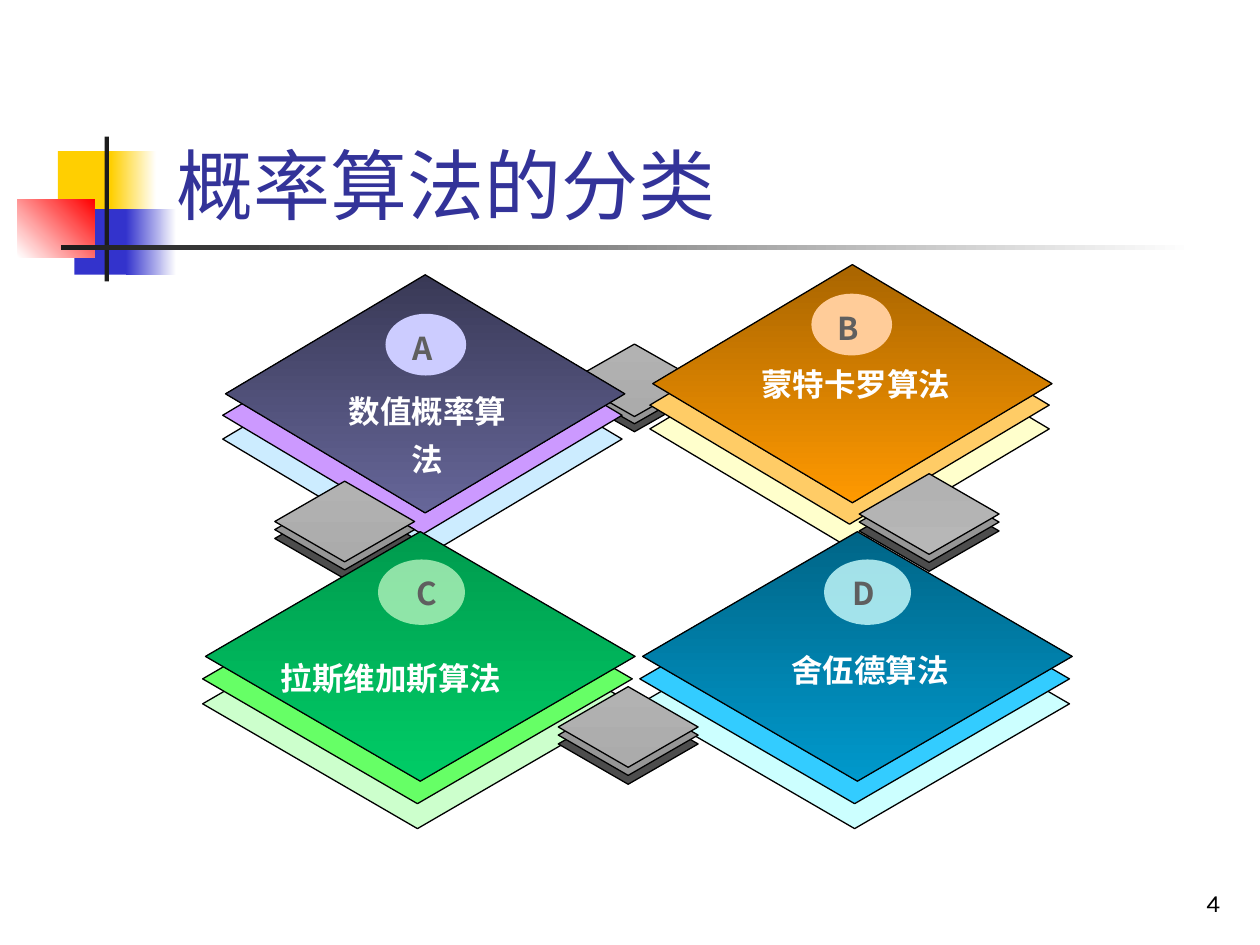
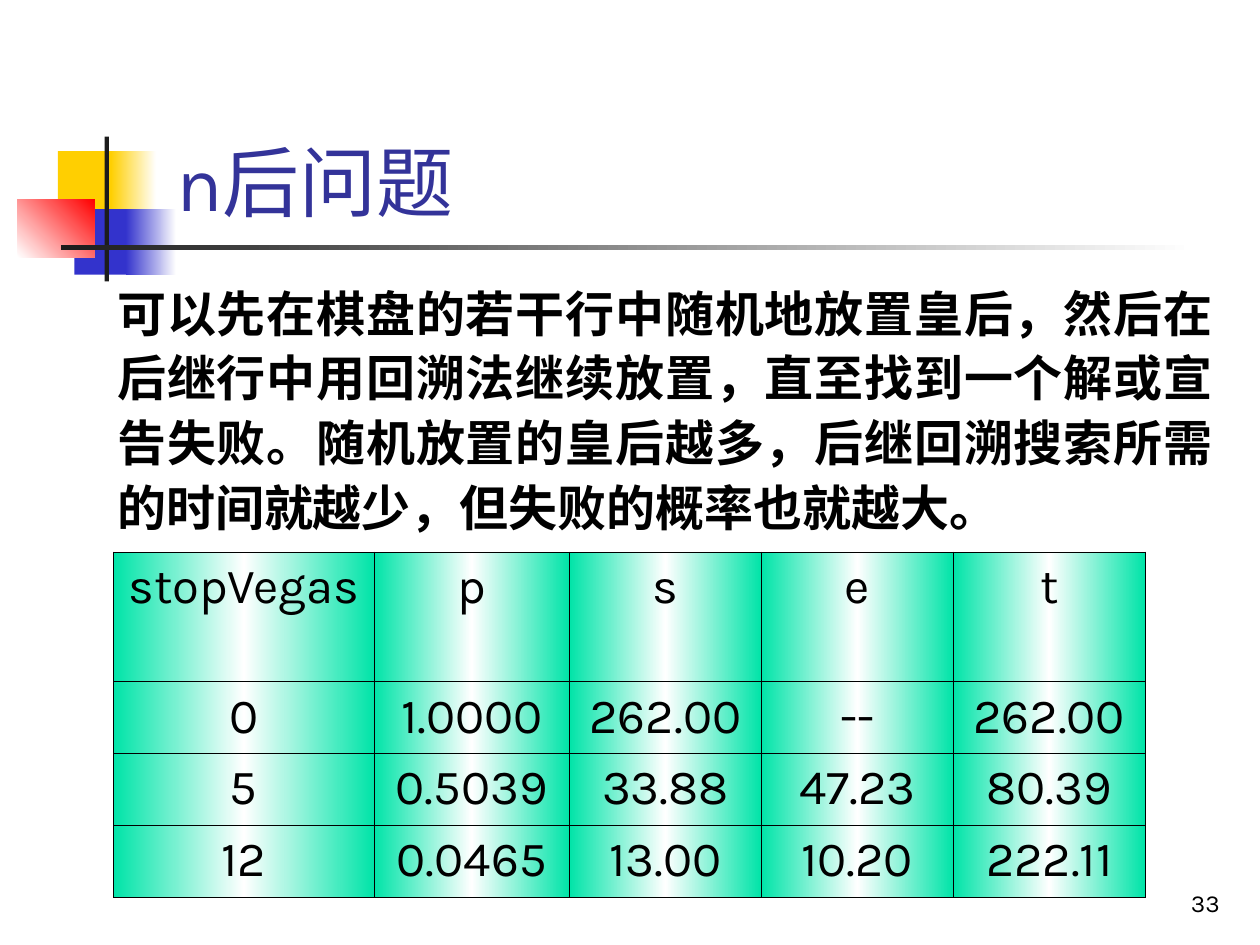
import copy
from dataclasses import dataclass
from typing import Any, NamedTuple

import lxml.etree
import pptx
import pptx.dml.color
import pptx.enum.shapes
import pptx.enum.text
import pptx.oxml.ns
import pptx.util


@dataclass(frozen=True)
class Theme:
    ink: str = "000000"
    white: str = "FFFFFF"
    title: str = "333399"
    badge: str = "5F5F5F"
    dark: str = "1C1C1C"
    gold: str = "FFCF01"
    blue: str = "3333CC"
    red: str = "FF0000"
    mint: str = "00E4A8"
    head: float = 44
    big: float = 28
    label: float = 18
    page: float = 14
    edge: float = 0.75
    rule: float = 0.45
    sans: str = "Karla"
    serif: str = "Times New Roman"
    han: str = "Noto Sans CJK SC"


class Box(NamedTuple):
    x: float
    y: float
    w: float
    h: float


class Band(NamedTuple):
    box: Box
    hues: tuple[str, ...]
    turn: float = 0


class Tile(NamedTuple):
    front: Box
    hues: tuple[str, str]
    shade: tuple[str, str]
    drops: tuple[float, float]
    shift: float


class Label(NamedTuple):
    text: str
    box: Box
    wrap: bool
    form: dict[str, Any]
    left: float = 0
    hang: float = 0


class Badge(NamedTuple):
    text: str
    box: Box
    hue: str
    mid: float
    alpha: int = 100


T = Theme()
KIND = pptx.enum.shapes.MSO_SHAPE
ALIGN = pptx.enum.text.PP_ALIGN
HOLD = pptx.enum.text.MSO_ANCHOR
DOWN = 270

BANDS = (
    Band(Box(33.1, 86.4, 34.6, 37.4), (T.gold,)),
    Band(Box(63.4, 86.4, 25.9, 37.4), (T.gold, T.white)),
    Band(Box(42.5, 119.5, 33.1, 37.4), (T.blue,)),
    Band(Box(72, 119.5, 28.8, 37.4), (T.blue, T.white)),
    Band(Box(10.1, 113.8, 43.9, 33.1), (T.white, T.red), 45),
    Band(Box(59.8, 78, 2.4, 82.8), (T.dark,)),
    Band(Box(34.6, 140.2, 648, 2.4), (T.dark, T.white)),
)
TITLE = Box(93.6, 71.3, 612, 63.4)
PAGE = Box(554.4, 491.8, 149.8, 36)

CENTRE = {"alignment": ALIGN.CENTER}
LOOSE = {"alignment": ALIGN.LEFT, "line_spacing": 1.25}


def link(box: Box, end: str = "ABABAB") -> Tile:
    return Tile(box, ("4D4D4D", "969696"), ("B2B2B2", end), (0.21, 0.1), 0)


def card(box: Box, hues: tuple[str, str], shade: tuple[str, str]) -> Tile:
    return Tile(box, hues, shade, (0.19, 0.09), -1.6)


STACKS = (
    (link(Box(326.2, 196.6, 72.7, 41.4)), None, None),
    (
        card(Box(128.9, 157, 228.2, 136.1), ("CCECFF", "CC99FF"), ("393956", "666699")),
        Label("数值概率算法", Box(192.2, 215.3, 114.5, 82.8), True, LOOSE, 36, -36),
        Badge("A", Box(220.3, 179.3, 46.1, 35.3), "CCCCFF", 241.6),
    ),
    (
        card(Box(373, 151.2, 228.2, 136.1), ("FFFFCC", "FFCC66"), ("A96500", "FF9900")),
        Label("蒙特卡罗算法", Box(381.6, 205.2, 214.6, 28.8), True, CENTRE),
        Badge("B", Box(463.7, 167.8, 46.1, 35.3), "FFCC99", 484.9),
    ),
    (link(Box(491, 270.7, 79.9, 46.1), "B7B7B7"), None, None),
    (
        card(Box(367.2, 303.8, 245.5, 142.6), ("CCFFFF", "33CCFF"), ("006587", "0099CC")),
        Label("舍伍德算法", Box(445, 368.6, 104.4, 28.8), False, CENTRE),
        Badge("D", Box(470.9, 319.7, 49.7, 37.4), "CCFFFF", 493.2, 80),
    ),
    (link(Box(157, 275, 79.9, 46.1)), None, None),
    (
        card(Box(117.4, 303.8, 245.5, 142.6), ("CCFFCC", "66FF66"), ("009B4E", "00CC66")),
        Label("拉斯维加斯算法", Box(136.8, 367.9, 211.7, 61.2), True, LOOSE, 16.6),
        Badge("C", Box(216, 319.7, 49.7, 37.4), "CCFFCC", 243.7, 70),
    ),
    (link(Box(319, 392.4, 79.9, 46.1)), None, None),
)

BODY = (
    "可以先在棋盘的若干行中随机地放置皇后，然后在后继行中用回溯法继续放置，"
    "直至找到一个解或宣告失败。随机放置的皇后越多，后继回溯搜索所需的时间就越少，"
    "但失败的概率也就越大。"
)
ROWS = (
    ("stopVegas", "p", "s", "e", "t"),
    ("0", "1.0000", "262.00", "--", "262.00"),
    ("5", "0.5039", "33.88", "47.23", "80.39"),
    ("12", "0.0465", "13.00", "10.20", "222.11"),
)
COLS = (149, 111.6, 109.7, 109.7, 109.7)
HEIGHTS = (74.2, 41, 41, 41)


def put(item: Any, form: dict[str, Any]) -> None:
    for name, value in form.items():
        setattr(item, name, value)


def tint(code: str) -> Any:
    return pptx.dml.color.RGBColor.from_string(code)


def spots(box: Box) -> tuple[int, ...]:
    return tuple(pptx.util.Pt(n) for n in box)


def node(root: Any, tag: str, **attrs: Any) -> Any:
    pairs = {key: str(value) for key, value in attrs.items()}
    return lxml.etree.SubElement(root, pptx.oxml.ns.qn(tag), pairs)


def paint(fill: Any, root: Any, hues: tuple[str, ...], turn: float = 0) -> None:
    if len(hues) == 1:
        fill.solid()
        fill.fore_color.rgb = tint(hues[0])
        return
    fill.gradient()
    fill.gradient_angle = turn
    stops = next(root.iter(pptx.oxml.ns.qn("a:gsLst")))
    while len(stops) < len(hues):
        stops.append(copy.deepcopy(stops[0]))
    for i, (stop, hue) in enumerate(zip(fill.gradient_stops, hues)):
        stop.position = i / (len(hues) - 1)
        stop.color.rgb = tint(hue)


def shape(host: Any, kind: Any, box: Box, hues: tuple[str, ...],
          turn: float = 0, edge: bool = False) -> Any:
    item = host.add_shape(kind, *spots(box))
    item.shadow.inherit = False
    paint(item.fill, item._element, hues, turn)
    if edge:
        item.line.width = pptx.util.Pt(T.edge)
        item.line.color.rgb = tint(T.ink)
    else:
        item.line.fill.background()
    return item


def write(frame: Any, text: str, size: float, hue: str, face: str,
          form: dict[str, Any], bold: bool = False) -> Any:
    para = frame.paragraphs[0]
    put(para, form)
    run = para.add_run()
    run.text = text
    put(run.font, {"size": pptx.util.Pt(size), "bold": bold, "name": face})
    run.font.color.rgb = tint(hue)
    node(run._r.get_or_add_rPr(), "a:ea", typeface=T.han)
    return para


def note(host: Any, box: Box, wrap: bool = True) -> Any:
    frame = host.add_textbox(*spots(box)).text_frame
    frame.word_wrap = wrap
    return frame


def place(holder: Any, box: Box, anchor: Any) -> Any:
    put(holder, dict(zip(("left", "top", "width", "height"), spots(box))))
    frame = holder.text_frame
    put(frame, {"word_wrap": True, "vertical_anchor": anchor,
                "auto_size": pptx.enum.text.MSO_AUTO_SIZE.NONE})
    return frame


def start(deck: Any, layout: int, title: str, page: str, anchor: Any) -> Any:
    slide = deck.slides.add_slide(deck.slide_layouts[layout])
    for band in BANDS:
        shape(slide.shapes, KIND.RECTANGLE, *band)
    frame = place(slide.shapes.title, TITLE, anchor)
    write(frame, title, T.head, T.title, T.sans, {"alignment": ALIGN.LEFT})
    frame = note(slide.shapes, PAGE)
    frame.vertical_anchor = HOLD.BOTTOM
    write(frame, page, T.page, T.ink, T.sans, {"alignment": ALIGN.RIGHT})
    return slide


def stack(host: Any, tile: Tile) -> None:
    x, y, w, h = tile.front
    for drop, hue in zip(tile.drops, tile.hues):
        box = Box(x + tile.shift, y + drop * h, w, h)
        shape(host, KIND.DIAMOND, box, (hue,), edge=True)
    shape(host, KIND.DIAMOND, tile.front, tile.shade, DOWN, True)


def name(host: Any, label: Label) -> None:
    frame = note(host, label.box, label.wrap)
    para = write(frame, label.text, T.label, T.white, T.han, label.form, True)
    props = para._p.get_or_add_pPr()
    props.set("marL", str(pptx.util.Pt(label.left)))
    props.set("indent", str(pptx.util.Pt(label.hang)))


def mark(host: Any, badge: Badge) -> None:
    disc = shape(host, KIND.OVAL, badge.box, (badge.hue,))
    if badge.alpha < 100:
        hue = next(disc._element.spPr.iter(pptx.oxml.ns.qn("a:srgbClr")))
        node(hue, "a:alpha", val=badge.alpha * 1000)
    frame = note(host, Box(badge.mid - 13.4, badge.box.y + 5, 26.8, 28.8), False)
    write(frame, badge.text, T.label, T.badge, T.han, CENTRE, True)


def frame_cell(cell: Any) -> None:
    props = cell._tc.get_or_add_tcPr()
    for side in "LRTB":
        line = node(props, f"a:ln{side}", w=pptx.util.Pt(T.rule))
        node(node(line, "a:solidFill"), "a:srgbClr", val=T.ink)


def grid(slide: Any) -> None:
    box = Box(64.8, 315.4, sum(COLS), sum(HEIGHTS))
    table = slide.shapes.add_table(len(ROWS), len(COLS), *spots(box)).table
    put(table, {"first_row": False, "horz_banding": False})
    for col, width in zip(table.columns, COLS):
        col.width = pptx.util.Pt(width)
    for row, height, texts in zip(table.rows, HEIGHTS, ROWS):
        row.height = pptx.util.Pt(height)
        for cell, text in zip(row.cells, texts):
            frame_cell(cell)
            paint(cell.fill, cell._tc, (T.mint, T.white, T.mint))
            write(cell.text_frame, text, T.big, T.ink, T.sans, CENTRE)


def kinds(deck: Any) -> None:
    slide = start(deck, 5, "概率算法的分类", "4", HOLD.BOTTOM)
    for tile, label, badge in STACKS:
        host = slide.shapes.add_group_shape().shapes
        stack(host, tile)
        if label and badge:
            name(host, label)
            mark(host, badge)


def queens(deck: Any) -> None:
    slide = start(deck, 1, "n后问题", "33", HOLD.MIDDLE)
    frame = place(slide.placeholders[1], Box(59.8, 154.8, 640.8, 155.5), HOLD.TOP)
    form = {"alignment": ALIGN.JUSTIFY, "line_spacing": 1.1,
            "space_before": pptx.util.Pt(0)}
    para = write(frame, BODY, T.big, T.ink, T.serif, form, True)
    props = para._p.get_or_add_pPr()
    put_flat = {"marL": "0", "indent": "0"}
    for key, value in put_flat.items():
        props.set(key, value)
    node(props, "a:buNone")
    grid(slide)


def main() -> None:
    deck = pptx.Presentation()
    put(deck, {"slide_width": pptx.util.Pt(720), "slide_height": pptx.util.Pt(540)})
    kinds(deck)
    queens(deck)
    deck.save("out.pptx")


if __name__ == "__main__":
    main()
